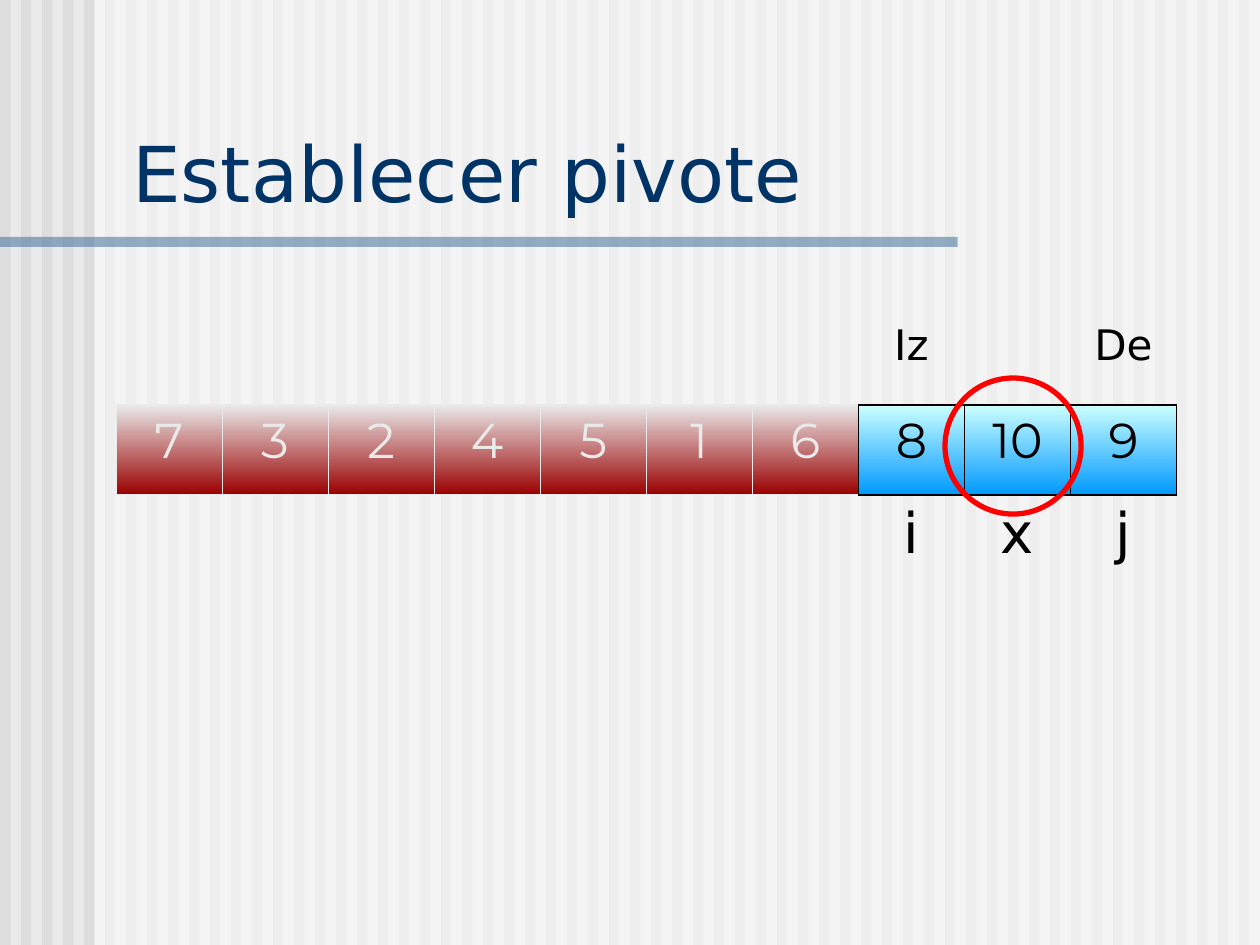
from pptx import Presentation
from pptx.util import Inches, Pt
from pptx.dml.color import RGBColor
from pptx.enum.shapes import MSO_SHAPE as Shape
from pptx.enum.text import PP_ALIGN as Align, MSO_ANCHOR as Anchor, MSO_AUTO_SIZE as AutoSize
from pptx.oxml import parse_xml
from pptx.oxml.ns import qn

NAMESPACE = 'xmlns:a="http://schemas.openxmlformats.org/drawingml/2006/main"'


def rgb(value):
    return RGBColor.from_string(value)


def add_panel(left, top, width, height, color, opacity=100):
    panel = slide.shapes.add_shape(
        Shape.RECTANGLE, Inches(left), Inches(top), Inches(width), Inches(height))
    panel.shadow.inherit = False
    panel.line.fill.background()
    panel.fill.solid()
    panel.fill.fore_color.rgb = rgb(color)
    if opacity < 100:
        color_element = panel.element.spPr.find(qn("a:solidFill"))[0]
        color_element.append(parse_xml(f'<a:alpha {NAMESPACE} val="{opacity * 1000}"/>'))


presentation = Presentation()
presentation.slide_width = Inches(10)
presentation.slide_height = Inches(7.5)
slide = presentation.slides.add_slide(presentation.slide_layouts[5])
slide.background.fill.solid()
slide.background.fill.fore_color.rgb = rgb("EAEAEA")

for stripe in range(60):
    add_panel(stripe / 6, 0, 1 / 12, 7.5, "DDDDDD")
add_panel(0.75, 0, 9.25, 7.5, "FFFFFF", 50)
add_panel(0, 1.88, 7.6, 0.08, "336699", 50)

values = ["7", "3", "2", "4", "5", "1", "6", "8", "10", "9"]
first_active = 7
last = len(values) - 1
blank = [""] * first_active
rows = [
    (blank + ["Iz", "", "De"], 24, "DejaVu Sans", 6),
    (values, 28, "Montserrat", 7),
    (blank + ["i", "x", "j"], 32, "DejaVu Sans", 8),
]
table_frame = slide.shapes.add_table(
    len(rows), len(values), Inches(0.92), Inches(2.5), Inches(8.42), Inches(2.14))
table = table_frame.table
table.first_row = False
table.horz_banding = False
style = table_frame.element.find(".//" + qn("a:tableStyleId"))
style.text = "{2D5ABB26-0587-4C30-8999-92F81FD0307C}"

for row, (texts, size, font_name, space) in enumerate(rows):
    for column, text in enumerate(texts):
        active = column >= first_active
        in_array = row == 1
        cell = table.cell(row, column)
        paragraph = cell.text_frame.paragraphs[0]
        paragraph.text = text
        paragraph.alignment = Align.CENTER
        paragraph.space_before = Pt(space)
        paragraph.font.size = Pt(size)
        paragraph.font.name = font_name
        paragraph.font.color.rgb = rgb("EAEAEA" if in_array and not active else "000000")

        if in_array:
            cell.fill.gradient()
            cell.fill.gradient_angle = 270
            colors = ["CCFFFF", "0099FF"] if active else ["EAEAEA", "9A0000"]
            for stop, position, color in zip(cell.fill.gradient_stops, [0, 1], colors):
                stop.position = position
                stop.color.rgb = rgb(color)
        else:
            cell.fill.background()

        edge_color, outer = ("000000", 1.08) if active else ("EAEAEA", 0.45)
        right_color = "000000" if column >= first_active - 1 else "EAEAEA"
        right_width = 1.08 if column == last else 0.45
        borders = [
            ("lnL", edge_color, 0.45, in_array),
            ("lnR", right_color, right_width, in_array),
            ("lnT", edge_color, outer, row > 0),
            ("lnB", edge_color, outer, row < 2),
        ]
        properties = cell._tc.get_or_add_tcPr()
        shown = [border[:3] for border in borders if border[3]]
        for index, (tag, color, width) in enumerate(shown):
            properties.insert(index, parse_xml(
                f'<a:{tag} {NAMESPACE} w="{int(Pt(width))}"><a:solidFill>'
                f'<a:srgbClr val="{color}"/></a:solidFill></a:{tag}>'))

title = slide.shapes.title
title.left, title.top = Inches(0.95), Inches(0.94)
title.width, title.height = Inches(8.93), Inches(0.84)
title.text_frame.text = "Establecer pivote"
title.text_frame.auto_size = AutoSize.NONE
title.text_frame.vertical_anchor = Anchor.BOTTOM
heading = title.text_frame.paragraphs[0]
heading.alignment = Align.LEFT
heading.font.size = Pt(44)
heading.font.name = "DejaVu Sans"
heading.font.color.rgb = rgb("003366")
title.element.getparent().append(title.element)

pivot_ring = slide.shapes.add_shape(
    Shape.OVAL, Inches(7.5), Inches(3), Inches(1.08), Inches(1.08))
pivot_ring.shadow.inherit = False
pivot_ring.fill.background()
pivot_ring.line.color.rgb = rgb("FF0000")
pivot_ring.line.width = Pt(3)

presentation.save("out.pptx")
